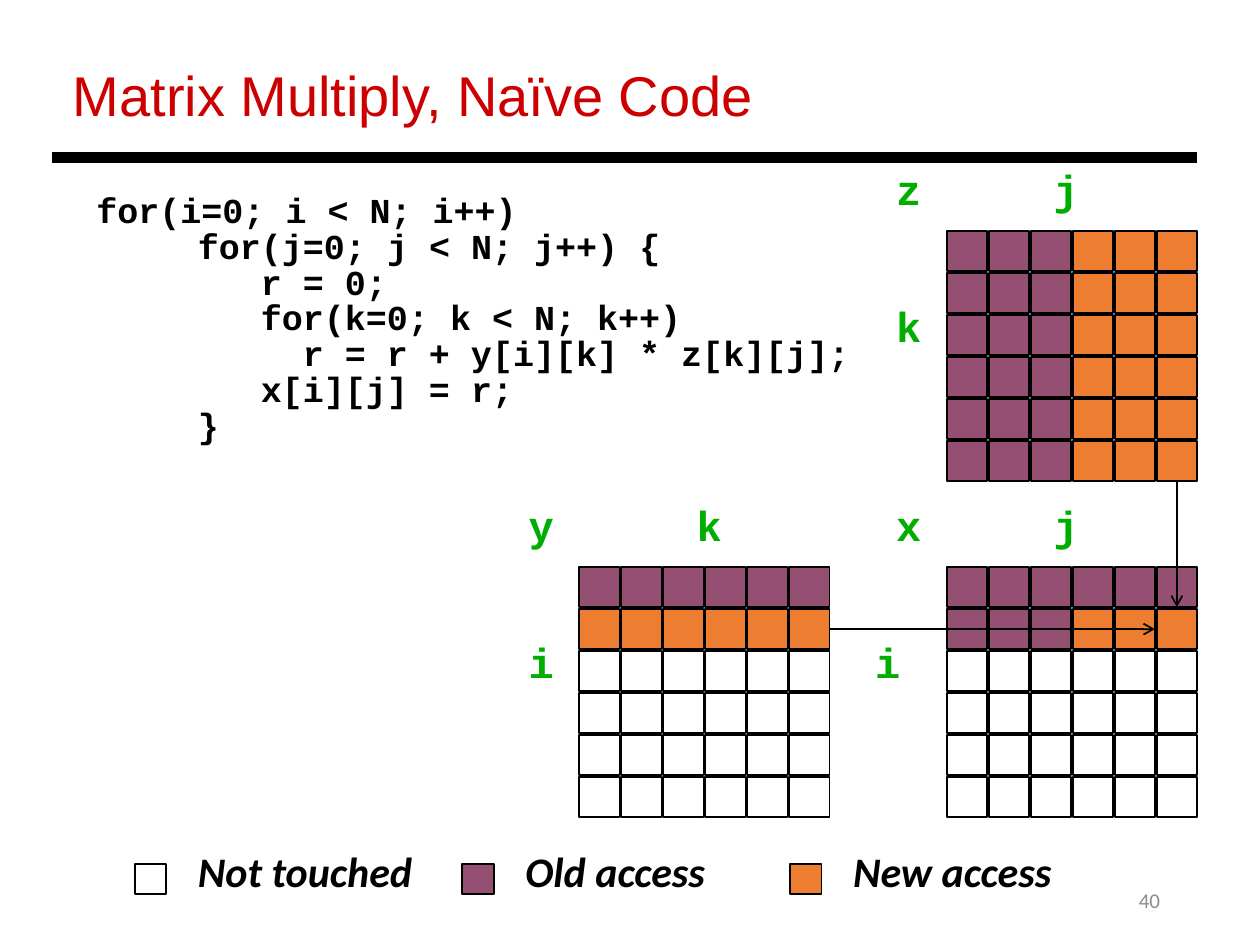
import pptx
import pptx.util
import pptx.dml.color
import pptx.enum.shapes
import pptx.enum.text
import pptx.oxml.ns
import lxml.etree

Pt = pptx.util.Pt
ALIGN = pptx.enum.text.PP_ALIGN
ANCHOR = pptx.enum.text.MSO_ANCHOR

COLORS = {
    "black": "000000",
    "title": "CC0000",
    "label": "00AE00",
    "number": "8C8C8C",
    "untouched": "FFFFFF",
    "old": "954F72",
    "new": "ED7D31",
}
N = 6
PITCH = 24
CELL = 23
CHAR = 12
CODE = [
    (0, "for(i=0; i < N; i++)"),
    (5, "for(j=0; j < N; j++) {"),
    (8, "r = 0;"),
    (8, "for(k=0; k < N; k++)"),
    (10, "r = r + y[i][k] * z[k][j];"),
    (8, "x[i][j] = r;"),
    (5, "}"),
]


def rgb(name):
    return pptx.dml.color.RGBColor.from_string(COLORS[name])


def add_text(s, text, x, y, w, h, size=24, font="Calibri", color="black", bold=False,
             italic=False, align=ALIGN.LEFT, anchor=ANCHOR.TOP, wrap=True):
    tf = s.shapes.add_textbox(Pt(x), Pt(y), Pt(w), Pt(h)).text_frame
    tf.word_wrap = wrap
    tf.vertical_anchor = anchor
    for i, line in enumerate(text.split("\n")):
        p = tf.paragraphs[0] if i == 0 else tf.add_paragraph()
        p.alignment = align
        r = p.add_run()
        r.text = line
        r.font.size = Pt(size)
        r.font.name = font
        r.font.bold = bold
        r.font.italic = italic
        r.font.color.rgb = rgb(color)
    return tf


def add_square(shapes, x, y, w, h, color):
    sp = shapes.add_shape(pptx.enum.shapes.MSO_SHAPE.RECTANGLE, Pt(x), Pt(y), Pt(w), Pt(h))
    sp.shadow.inherit = False
    sp.fill.solid()
    sp.fill.fore_color.rgb = rgb(color)
    sp.line.color.rgb = rgb("black")
    sp.line.width = Pt(1)


def add_line(s, x1, y1, x2, y2, width=1, arrow=False):
    qn = pptx.oxml.ns.qn
    c = s.shapes.add_connector(pptx.enum.shapes.MSO_CONNECTOR.STRAIGHT,
                               Pt(x1), Pt(y1), Pt(x2), Pt(y2))
    c.line.color.rgb = rgb("black")
    c.line.width = Pt(width)
    if arrow:
        lxml.etree.SubElement(c.line._get_or_add_ln(), qn("a:tailEnd"), type="arrow")
    lxml.etree.SubElement(c._element.spPr, qn("a:effectLst"))


def add_header(s, x, y, w):
    add_text(s, "Matrix Multiply, Naïve Code", x + 4.5, y, w - 58, 46, size=32,
             font="Arial", color="title")
    add_line(s, x, y + 59, x + w, y + 59, width=6)


def add_code(s, x, y, w, h):
    tf = add_text(s, "\n".join(line for _, line in CODE), x, y, w, h, size=20,
                  font="Courier New", bold=True)
    for p, (depth, _) in zip(tf.paragraphs, CODE):
        p.line_spacing = 0.85
        p._p.get_or_add_pPr().set("marL", str(Pt(48 + depth * CHAR - (2 if depth else 0))))
    tf.paragraphs[0].space_before = Pt(5)


def add_matrix(s, x, y, labels, color_at):
    for text, dx, dy in labels:
        add_text(s, text, x + dx, y + dy, 29, 36, font="Courier New", color="label",
                 bold=True, wrap=False)
    shapes = s.shapes.add_group_shape().shapes
    for row in range(N):
        for col in range(N):
            add_square(shapes, x + col * PITCH, y + row * PITCH, CELL, CELL,
                       color_at(row, col))


def add_legend(s, x, y, step):
    items = [("Not touched", "untouched", 145), ("Old access", "old", 125),
             ("New access", "new", 135)]
    for i, (text, color, w) in enumerate(items):
        left = x + i * step
        add_square(s.shapes, left, y + 14, 18, 17.5, color)
        add_text(s, text, left + 29, y, w, 36, bold=True, italic=True, wrap=False)


def z_color(row, col):
    return "old" if col < 3 else "new"


def y_color(row, col):
    return ("old", "new")[row] if row < 2 else "untouched"


def x_color(row, col):
    return z_color(row, col) if row == 1 else y_color(row, col)


def main():
    prs = pptx.Presentation()
    prs.slide_width, prs.slide_height = Pt(720), Pt(540)
    s = prs.slides.add_slide(prs.slide_layouts[6])
    add_text(s, "40", 508, 500, 162, 29, size=12, color="number", align=ALIGN.RIGHT,
             anchor=ANCHOR.MIDDLE)
    add_header(s, 30, 31, 654)
    add_code(s, 0, 108, 504, 149)
    add_legend(s, 77, 479.5, 187.2)
    add_matrix(s, 541, 324, [("x", -36, -42), ("j", 54, -42), ("i", -48, 36)], x_color)
    add_matrix(s, 331, 324, [("y", -36, -42), ("k", 60, -42), ("i", -36, 36)], y_color)
    add_matrix(s, 541, 132, [("z", -36, -42), ("j", 54, -42), ("k", -36, 36)], z_color)
    add_line(s, 672.5, 275, 672.5, 347, arrow=True)
    add_line(s, 474, 359.5, 660, 359.5, arrow=True)
    prs.save("out.pptx")


if __name__ == "__main__":
    main()
